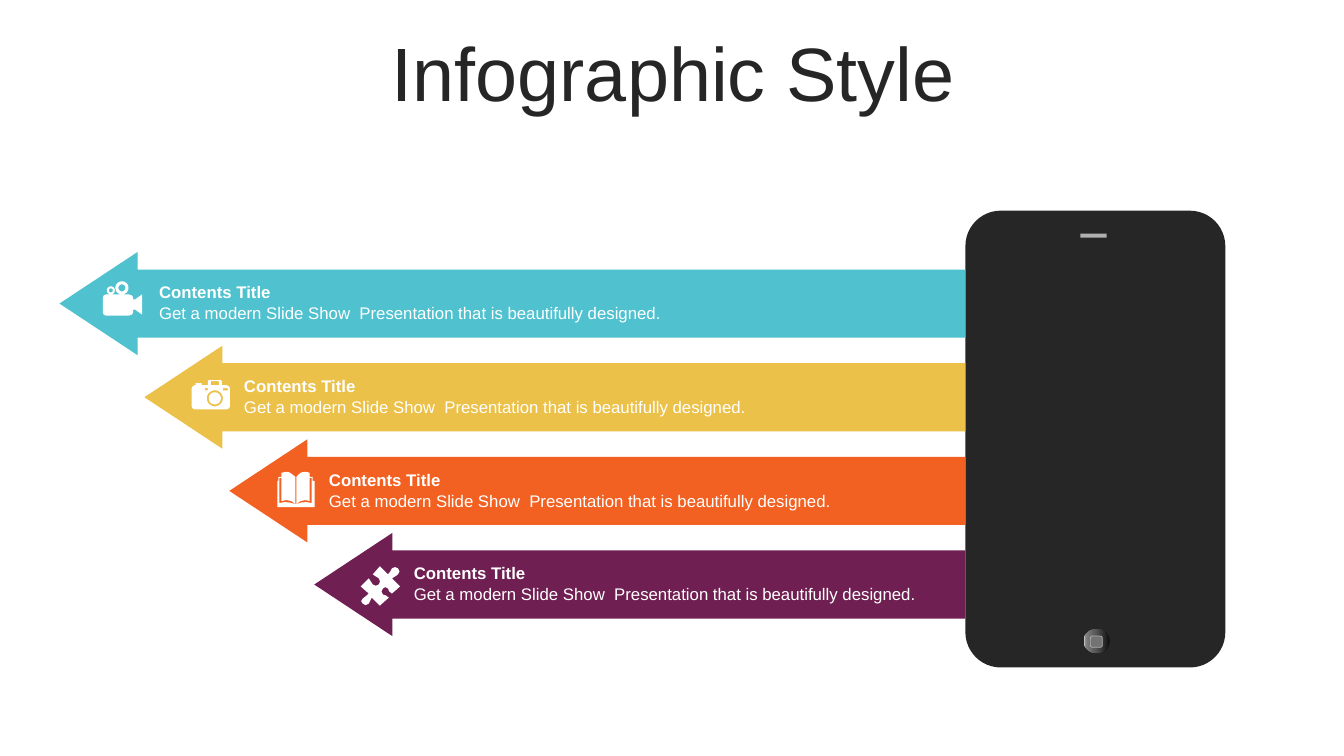
from copy import deepcopy
from math import cos, sin, tau

from pptx import Presentation
from pptx.dml.color import RGBColor as RGB
from pptx.enum.shapes import MSO_SHAPE as Kind
from pptx.enum.text import MSO_ANCHOR as Anchor, MSO_AUTO_SIZE as Fit, PP_ALIGN as Align
from pptx.oxml.ns import qn
from pptx.util import Cm, Pt


def color(code):
    return RGB.from_string(code)


def paint(shape, code):
    shape.shadow.inherit = False
    shape.fill.solid()
    shape.fill.fore_color.rgb = color(code)
    shape.line.fill.background()


deck = Presentation()
deck.slide_width, deck.slide_height = Cm(33.87), Cm(19.05)
slide = deck.slides.add_slide(deck.slide_layouts[5])
shapes = slide.shapes

# Title
title = shapes.title
title.left, title.top, title.width, title.height = Cm(0.89), Cm(0.94), Cm(32.16), Cm(2)
frame = title.text_frame
frame.text = "Infographic Style"
frame.auto_size = Fit.NONE
frame.vertical_anchor = Anchor.MIDDLE
line = frame.paragraphs[0]
line.alignment = Align.CENTER
line.line_spacing = 0.9
for name, value in dict(name="Arial", size=Pt(54)).items():
    setattr(line.font, name, value)
line.font.color.rgb = color("262626")

# Phone: case, speaker, button, button mark
edge = 24.33
parts = [
    (Kind.ROUNDED_RECTANGLE, edge, 5.31, 6.55, 11.51, "262626"),
    (Kind.RECTANGLE, 27.23, 5.89, 0.66, 0.1, "B0B0B0"),
    (Kind.OVAL, 27.31, 15.85, 0.66, 0.61, "595959"),
    (Kind.ROUNDED_RECTANGLE, 27.48, 16.03, 0.3, 0.28, "737373"),
]
phone = []
for kind, x, y, wide, high, code in parts:
    part = shapes.add_shape(kind, Cm(x), Cm(y), Cm(wide), Cm(high))
    paint(part, code)
    phone.append(part)
case, speaker, button, mark = phone
case.adjustments[0] = 0.136
mark.line.color.rgb = color("B0B0B0")
mark.line.width = Pt(0.5)

# Button shading
shades = [(0, "0F0F0F"), (0.56, "595959"), (0.91, "808080"), (1, "BFBFBF")]
button.fill.gradient()
button.fill.gradient_angle = 180
stops = next(button._element.spPr.iter(qn("a:gsLst")))
for stop in list(stops):
    stops.append(deepcopy(stop))
for stop, (place, code) in zip(button.fill.gradient_stops, shades):
    stop.position = place
    stop.color.rgb = color(code)

# Icon outlines on a fine grid; a lone triple is a circle (x, y, radius)
video = [
    (8, 9, 2), (8, 9, 4), (19, 6.5, 3.5), (19, 6.5, 6.5),
    [(3, 13), (26, 13), (29, 14), (30, 16), (30, 18), (32, 18), (39, 13),
     (39, 33), (32, 28), (30, 28), (30, 31), (29, 33), (26, 34), (3, 34),
     (1, 33), (0, 31), (0, 16), (1, 14)],
]
camera = [
    (23, 18, 6), (23, 18, 8),
    [(13, 8), (13, 10), (16, 10), (16, 8)],
    [(31, 8), (31, 10), (36, 10), (36, 8)],
    [(19, 1), (19, 5), (27, 5), (27, 1)],
    [(17, 0), (29, 0), (30, 1), (30, 5), (35, 5), (37, 6), (38, 8), (38, 26),
     (37, 28), (35, 29), (3, 29), (1, 28), (0, 26), (0, 8), (1, 6), (3, 5),
     (4, 5), (4, 3), (10, 3), (10, 5), (16, 5), (16, 1)],
]
book = [
    [(18, 32), (19, 32), (24, 30.4), (29, 30), (34, 31), (34, 6), (32, 6),
     (32, 29), (28, 28), (23, 29), (19, 32), (19, 5), (21, 2.6), (24, 0.5),
     (27, 0), (30, 0.3), (32, 1), (32, 5), (35, 5), (35, 9), (37, 9), (37, 35),
     (0, 35), (0, 9), (1, 9), (1, 5), (4, 5), (4, 1), (7, 0.3), (9, 0),
     (12, 0.5), (15, 2.6), (18, 5), (18, 32), (14, 29), (9, 28), (4, 29),
     (4, 6), (2, 6), (2, 31), (7, 30), (12, 30.4)],
]
puzzle = [
    [(37, 2), (38.5, 5), (37, 8), (34, 10.2), (31, 12), (39, 20), (31, 27),
     (28.4, 25), (27, 22), (24.5, 20.6), (22, 22), (20.6, 25), (22, 28),
     (25, 29), (28, 31), (19, 39), (11, 31), (9.6, 34), (8, 37), (5, 38.5),
     (2, 37), (0.5, 34.5), (2, 32), (5, 29.7), (8, 27), (0, 20), (8, 12),
     (10, 15), (12, 18), (15, 19.3), (18, 18), (19.2, 15), (18, 12), (15, 10),
     (12, 8), (19, 0), (27, 8), (29.5, 5), (31, 2), (34, 0.8)],
]

# Arrows, each with an icon, a heading and a sentence
rows = [
    ("4FC1CF", video, 2.59, 7.09),
    ("EBC149", camera, 4.83, 9.58),
    ("F26122", book, 6.99, 11.89),
    ("6F1F51", puzzle, 9.09, 14.27),
]
texts = [
    ("Contents Title", 0.63, True),
    ("Get a modern Slide Show  Presentation that is beautifully designed.", 1.16, False),
]
grid = Cm(0.0254)
for i, (code, icon, x, y) in enumerate(rows):
    left, top = 1.5 + 2.14 * i, 6.35 + 2.36 * i
    arrow = shapes.add_shape(Kind.LEFT_ARROW, Cm(left), Cm(top), Cm(edge - left), Cm(2.6))
    arrow.adjustments[0], arrow.adjustments[1] = 0.66, 0.757
    paint(arrow, code)

    pen = None
    for loop in icon:
        if isinstance(loop, tuple):
            mid, level, size = loop
            turns = [tau * n / 32 for n in range(32)]
            loop = [(mid + size * cos(t), level + size * sin(t)) for t in turns]
        # Whole steps of a hundredth of the grid keep curves smooth
        loop = [(round(a * 100), round(b * 100)) for a, b in loop]
        if pen is None:
            pen = shapes.build_freeform(*loop[0], scale=grid / 100)
        else:
            pen.move_to(*loop[0])
        pen.add_line_segments(loop[1:], close=True)
    paint(pen.convert_to_shape(Cm(x), Cm(y)), "FFFFFF")

    for words, drop, bold in texts:
        box = shapes.add_textbox(Cm(left + 2.26), Cm(top + drop), Cm(13.79), Cm(0.77))
        box.text_frame.word_wrap = True
        line = box.text_frame.paragraphs[0]
        line.text = words
        for name, value in dict(name="Arial", size=Pt(12), bold=bold).items():
            setattr(line.font, name, value)
        line.font.color.rgb = color("FFFFFF")

deck.save("out.pptx")
